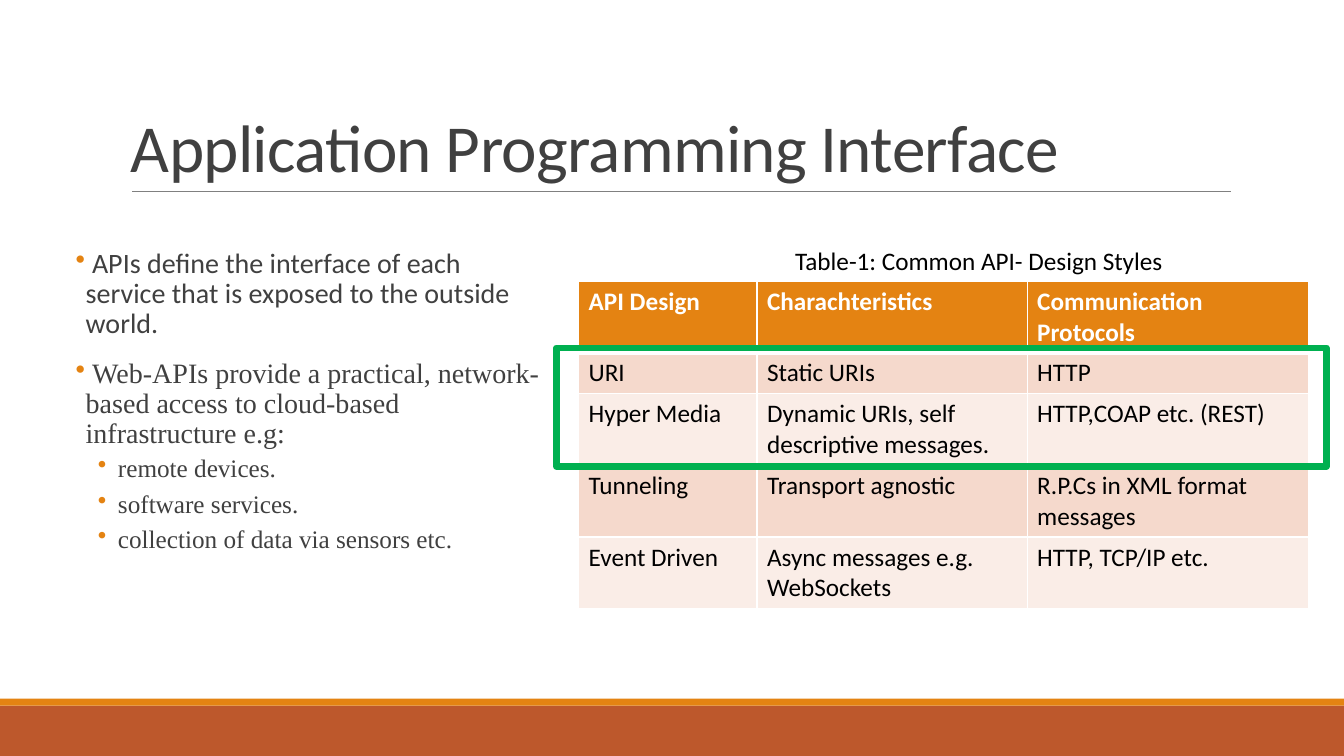
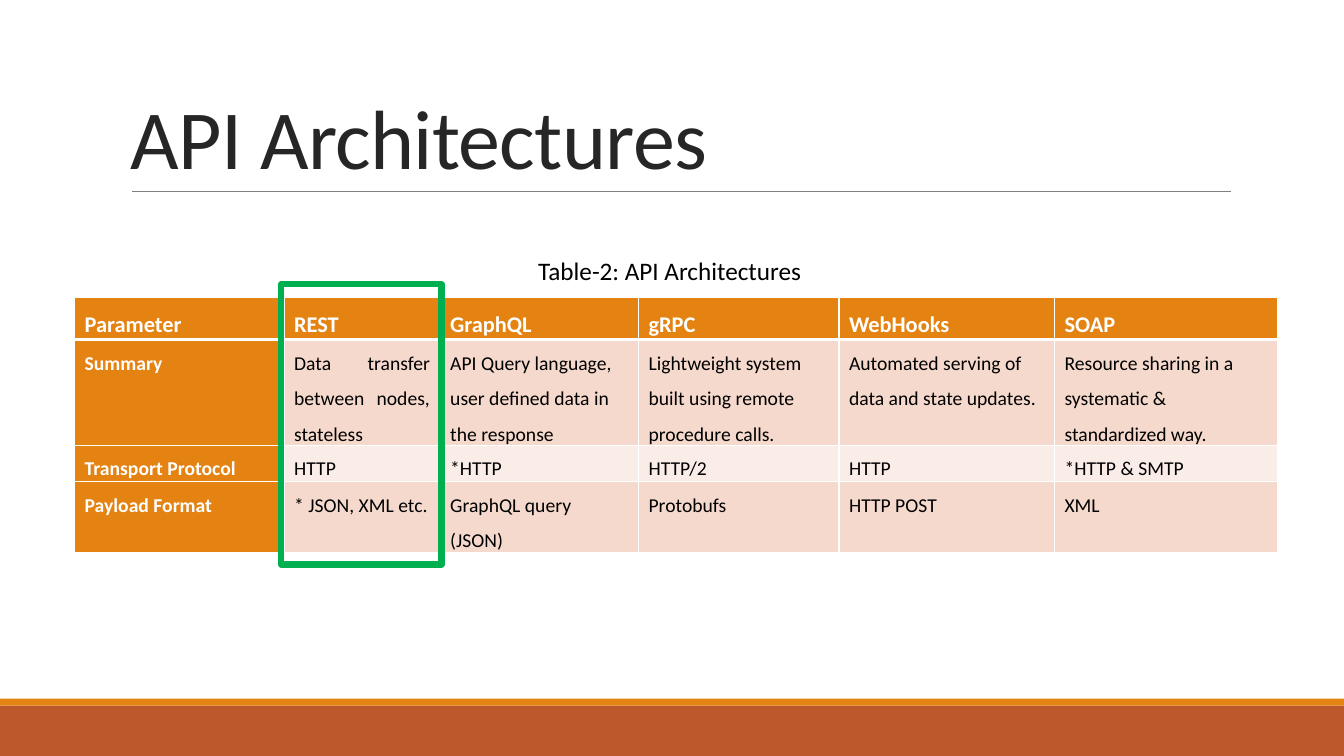
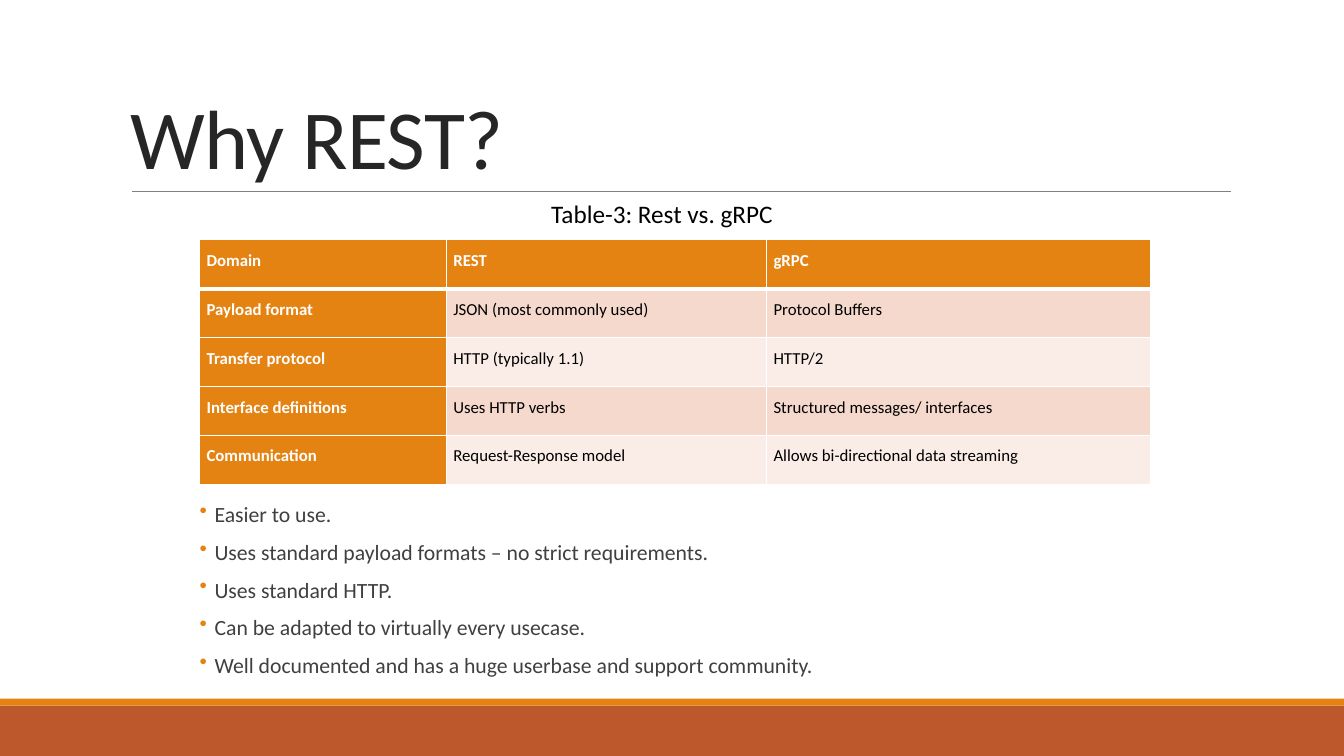
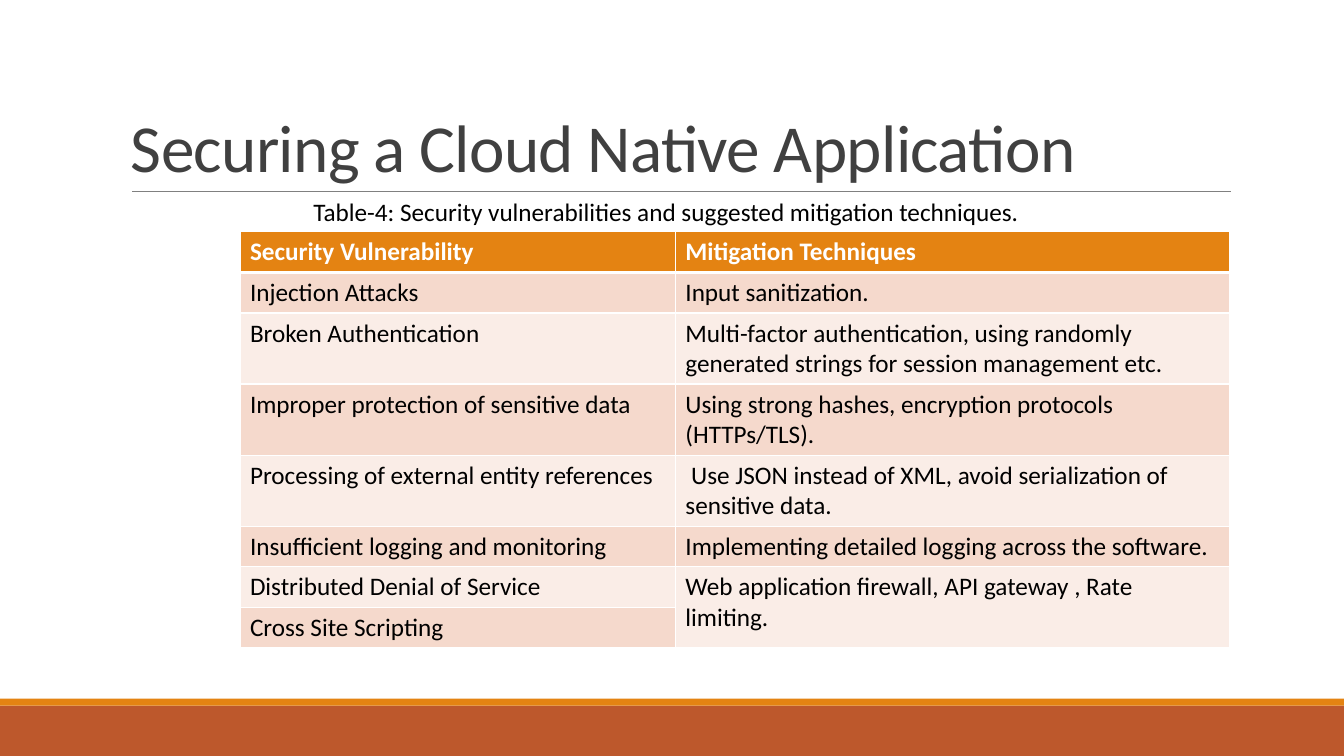
from dataclasses import dataclass

import pptx
import pptx.dml.color
import pptx.enum.shapes
import pptx.enum.text
import pptx.oxml
import pptx.oxml.ns
import pptx.util
from lxml import etree

ALIGN = pptx.enum.text.PP_ALIGN
ANCHOR = pptx.enum.text.MSO_ANCHOR
RECTANGLE = pptx.enum.shapes.MSO_SHAPE.RECTANGLE
STRAIGHT = pptx.enum.shapes.MSO_CONNECTOR.STRAIGHT


@dataclass(frozen=True)
class Theme:
    """Colours, fonts and type sizes of the deck."""
    accent: str = "E48312"
    band: str = "BD582C"
    rule: str = "808080"
    dark_title: str = "262626"
    text: str = "404040"
    black: str = "000000"
    white: str = "FFFFFF"
    stripes: tuple = ("F5D9CC", "FAEDE7")
    highlight: str = "00B050"
    sans: str = "Calibri"
    serif: str = "Times New Roman"
    big_title: float = 60
    title: float = 48
    lead: float = 20
    caption: float = 18
    head: float = 16
    cell: float = 14
    small: float = 12
    points: float = 15.5


@dataclass(frozen=True)
class Box:
    """A region in inches, divided in percent."""
    left: float
    top: float
    width: float
    height: float

    def area(self, left, top, width, height):
        """Return the region at these percentages of this one."""
        return Box(self.left + self.width * left / 100, self.top + self.height * top / 100,
                   self.width * width / 100, self.height * height / 100)

    def emu(self):
        """Return left, top, width and height as lengths."""
        return [pptx.util.Inches(n) for n in (self.left, self.top, self.width, self.height)]


THEME = Theme()
PAGE = Box(0, 0, 13.33, 7.5)


def rgb(colour):
    """Turn a hex string into a colour."""
    return pptx.dml.color.RGBColor.from_string(colour)


def child(parent, tag, **attributes):
    """Append a drawing element."""
    return etree.SubElement(parent, pptx.oxml.ns.qn(tag), attributes)


def write(frame, text, *, size, colour=THEME.text, font=THEME.sans, bold=False, tracking=0,
          line=None, before=0, after=0, align=None, bullet=None):
    """Add one formatted paragraph; bullet is the margin and the hang in inches."""
    paragraph = frame.paragraphs[0]
    if paragraph.runs:
        paragraph = frame.add_paragraph()
    paragraph.alignment = align
    paragraph.line_spacing = line
    paragraph.space_before = pptx.util.Pt(before)
    paragraph.space_after = pptx.util.Pt(after)
    run = paragraph.add_run()
    run.text = text
    run.font.size = pptx.util.Pt(size)
    run.font.name = font
    run.font.bold = bold
    run.font.color.rgb = rgb(colour)
    if tracking:
        run._r.get_or_add_rPr().set("spc", str(int(tracking * 100)))
    if bullet:
        margin, hang = bullet
        properties = paragraph._p.get_or_add_pPr()
        properties.set("marL", str(pptx.util.Inches(margin)))
        properties.set("indent", str(-pptx.util.Inches(hang)))
        child(child(properties, "a:buClr"), "a:srgbClr", val=THEME.accent)
        child(properties, "a:buChar", char="•")


def text_frame(slide, box, side=0.1, anchor=ANCHOR.TOP):
    """Add a wrapping text box and return its frame."""
    frame = slide.shapes.add_textbox(*box.emu()).text_frame
    frame.word_wrap = True
    frame.vertical_anchor = anchor
    frame.margin_left = frame.margin_right = pptx.util.Inches(side)
    return frame


def rectangle(slide, box, fill=None, outline=None, weight=4.5):
    """Add a plain rectangle, filled or outlined."""
    shape = slide.shapes.add_shape(RECTANGLE, *box.emu())
    shape.shadow.inherit = False
    if fill:
        shape.fill.solid()
        shape.fill.fore_color.rgb = rgb(fill)
    else:
        shape.fill.background()
    if outline:
        shape.line.color.rgb = rgb(outline)
        shape.line.width = pptx.util.Pt(weight)
    else:
        shape.line.fill.background()


def titled_slide(deck, title, size=THEME.title, colour=THEME.text):
    """Add a slide with the bottom bands, the title and its rule."""
    slide = deck.slides.add_slide(deck.slide_layouts[6])
    rectangle(slide, PAGE.area(0, 93.33, 100, 6.67), THEME.band)
    rectangle(slide, PAGE.area(0, 92.4, 100, 0.93), THEME.accent)
    left, top, width, _ = PAGE.area(9.83, 25.33, 81.75, 0).emu()
    rule = slide.shapes.add_connector(STRAIGHT, left, top, left + width, top)
    rule.line.color.rgb = rgb(THEME.rule)
    rule.line.width = pptx.util.Pt(0.5)
    child(rule._element.spPr, "a:effectLst")
    frame = text_frame(slide, PAGE.area(9, 4.13, 82.5, 21.2), anchor=ANCHOR.BOTTOM)
    write(frame, title, size=size, colour=colour, tracking=-0.5, line=0.85)
    return slide


def style_cell(cell, fill, insets, top=1, bottom=1):
    """Give a cell its white borders, fill and insets."""
    properties = cell._tc.get_or_add_tcPr()
    for tag, weight in (("a:lnL", 1), ("a:lnR", 1), ("a:lnT", top), ("a:lnB", bottom)):
        border = child(properties, tag, w=str(pptx.util.Pt(weight)))
        child(child(border, "a:solidFill"), "a:srgbClr", val=THEME.white)
    cell.fill.solid()
    cell.fill.fore_color.rgb = rgb(fill)
    side, edge = (pptx.util.Inches(n) for n in insets)
    cell.margin_left = cell.margin_right = side
    cell.margin_top = cell.margin_bottom = edge


def table_region(slide, region, caption, caption_span, table_top, rows, columns, heights, *,
                 size=THEME.caption, head_size=None, insets=(0.1, 0.05), line=None,
                 row_heads=False, justified=()):
    """Place a caption and a striped table in a region and return the table."""
    left, width = caption_span
    write(text_frame(slide, region.area(left, 0, width, 10)), caption,
          size=THEME.caption, colour=THEME.black)
    box = region.area(0, table_top, 100, 100 - table_top)
    table = slide.shapes.add_table(len(rows), len(columns), *box.emu()).table
    for column, share in zip(table.columns, columns):
        column.width = pptx.util.Inches(box.width * share / sum(columns))
    for row, share in zip(table.rows, heights):
        row.height = pptx.util.Inches(box.height * share / sum(heights))
    for r, texts in enumerate(rows):
        for c, text in enumerate(texts):
            cell = table.cell(r, c)
            head = r == 0 or (row_heads and c == 0)
            style_cell(cell, THEME.accent if head else THEME.stripes[(r - 1) % 2], insets,
                       top=3 if r == 1 else 1, bottom=3 if r == 0 else 1)
            if text:
                write(cell.text_frame, text, size=head_size or size if r == 0 else size,
                      colour=THEME.white if head else THEME.black, bold=head, line=line,
                      align=ALIGN.JUSTIFY if (r, c) in justified else None)
    return table


def bullet_region(slide, region, points, size, line, font=THEME.sans):
    """Fill a region with first-level bullets and return its frame."""
    frame = text_frame(slide, region, side=0)
    for point in points:
        lead_bullet(frame, point, size, line, font)
    return frame


def lead_bullet(frame, point, size, line, font):
    """Add a first-level bullet."""
    write(frame, point, size=size, font=font, line=line, before=12, after=2, bullet=(0.1, 0.1))


def interface_slide(deck):
    """Build the slide on API design styles."""
    slide = titled_slide(deck, "Application Programming Interface")
    frame = bullet_region(
        slide, PAGE.area(5.63, 32.27, 34.88, 48.13),
        [" APIs define the interface of each service that is exposed to the outside world."],
        THEME.lead, 0.9)
    lead_bullet(frame, " Web-APIs provide a practical, network-based access to cloud-based "
                "infrastructure e.g:", THEME.lead, 0.9, THEME.serif)
    for example in ("remote devices.", "software services.",
                    "collection of data via sensors etc."):
        write(frame, example, size=THEME.caption, font=THEME.serif, line=0.9,
              before=2, after=4, bullet=(0.42, 0.2))
    region = PAGE.area(43.05, 31.73, 54.3, 48.8)
    table_region(slide, region, "Table-1: Common API- Design Styles", (28.31, 58.98), 11.2, [
        ("API Design", "Charachteristics", "Communication Protocols"),
        ("URI", "Static URIs", "HTTP"),
        ("Hyper Media", "Dynamic URIs, self descriptive messages.", "HTTP,COAP etc. (REST)"),
        ("Tunneling", "Transport agnostic", "R.P.Cs in XML format messages"),
        ("Event Driven", "Async messages e.g. WebSockets", "HTTP, TCP/IP etc."),
    ], (1.77, 2.68, 2.79), (7, 4, 7, 7, 7))
    rectangle(slide, region.area(-3.04, 29.23, 105.52, 32.24), outline=THEME.highlight)


def architectures_slide(deck):
    """Build the slide that compares API architectures."""
    slide = titled_slide(deck, "API Architectures", THEME.big_title, THEME.dark_title)
    region = PAGE.area(5.55, 33.07, 89.55, 39.87)
    table_region(slide, region, "Table-2: API Architectures", (37.69, 23.95), 15.72, [
        ("Parameter", "REST", "GraphQL", "gRPC", "WebHooks", "SOAP"),
        ("Summary", "Data transfer between nodes, stateless",
         "API Query language, user defined data in the response",
         "Lightweight system built using remote procedure calls.",
         "Automated serving of data and state updates.",
         "Resource sharing in a systematic & standardized way."),
        ("Transport Protocol", "HTTP", "*HTTP", "HTTP/2", "HTTP", "*HTTP & SMTP"),
        ("Payload Format", "* JSON, XML etc.", "GraphQL query (JSON)", "Protobufs",
         "HTTP POST", "XML"),
    ], (2.08, 1.55, 1.97, 1.99, 2.14, 2.22), (42, 105, 36, 70), size=THEME.cell,
        head_size=THEME.head, insets=(0.1, 0), line=1.5, row_heads=True, justified={(1, 1)})
    rectangle(slide, region.area(17.17, 11.37, 13.32, 92.98), outline=THEME.highlight)


def why_rest_slide(deck):
    """Build the slide that sets REST against gRPC."""
    slide = titled_slide(deck, "Why REST?", THEME.big_title, THEME.dark_title)
    region = PAGE.area(14.85, 25.6, 70.73, 38.53)
    table_region(slide, region, "Table-3: Rest vs. gRPC", (35.95, 45.28), 15.92, [
        ("Domain", "REST", "gRPC"),
        ("Payload format", "JSON (most commonly used)", "Protocol Buffers"),
        ("Transfer protocol", "HTTP (typically 1.1)", "HTTP/2"),
        ("Interface definitions", "Uses HTTP verbs", "Structured messages/ interfaces"),
        ("Communication", "Request-Response model", "Allows bi-directional data streaming"),
    ], (2.45, 3.18, 3.81), (1,) * 5, size=THEME.small, insets=(0.07, 0), line=1.5,
        row_heads=True)
    bullet_region(slide, PAGE.area(14.85, 66.53, 47.63, 24.67), [
        " Easier to use.",
        " Uses standard payload formats – no strict requirements.",
        " Uses standard HTTP.",
        " Can be adapted to virtually every usecase.",
        " Well documented and has a huge userbase and support community.",
    ], THEME.points, 0.7)


def security_slide(deck):
    """Build the slide on vulnerabilities and their mitigation."""
    slide = titled_slide(deck, "Securing a Cloud Native Application")
    table = table_region(
        slide, PAGE.area(17.85, 25.33, 73.65, 60.4),
        "Table-4: Security vulnerabilities and suggested mitigation techniques.",
        (6.42, 75.15), 8.83, [
            ("Security Vulnerability", "Mitigation Techniques"),
            ("Injection Attacks", "Input sanitization."),
            ("Broken Authentication", "Multi-factor authentication, using randomly generated "
             "strings for session management etc."),
            ("Improper protection of sensitive data",
             "Using strong hashes, encryption protocols (HTTPs/TLS)."),
            ("Processing of external entity references",
             " Use JSON instead of XML, avoid serialization of sensitive data."),
            ("Insufficient logging and monitoring",
             "Implementing detailed logging across the software."),
            ("Distributed Denial of Service",
             "Web application firewall, API gateway , Rate limiting."),
            ("Cross Site Scripting", ""),
        ], (4.32, 5.5), (4, 4, 7, 7, 7, 4, 4, 4))
    table.cell(6, 1).merge(table.cell(7, 1))


def main():
    """Build the deck and save it."""
    deck = pptx.Presentation()
    deck.slide_width, deck.slide_height = PAGE.emu()[2:]
    for build in (interface_slide, architectures_slide, why_rest_slide, security_slide):
        build(deck)
    deck.save("out.pptx")


if __name__ == "__main__":
    main()
